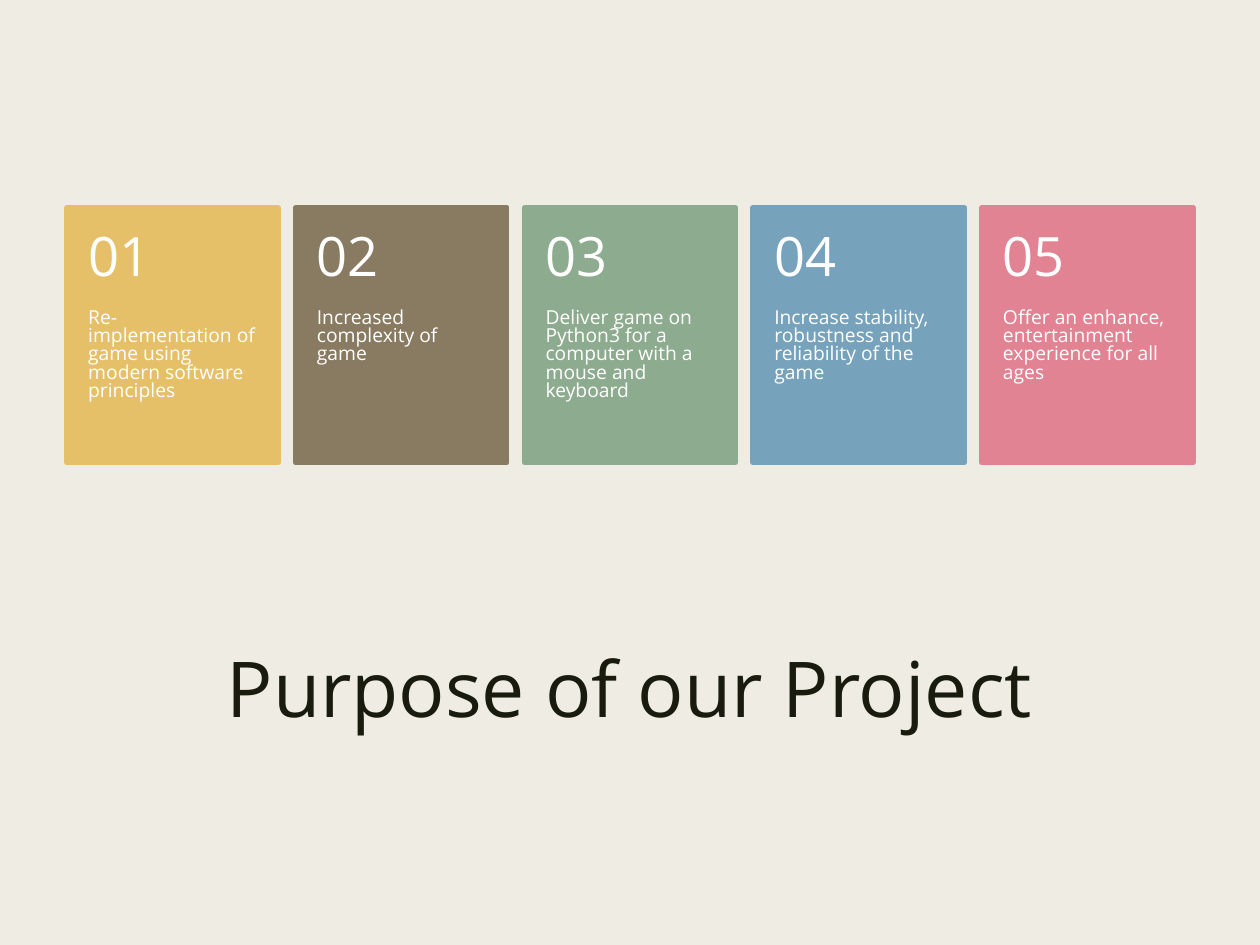
from pptx import Presentation
from pptx.dml.color import RGBColor
from pptx.enum.shapes import MSO_SHAPE as Shape
from pptx.enum.text import MSO_ANCHOR as Anchor, PP_ALIGN as Align
from pptx.util import Inches, Pt

TITLE = "Purpose of our Project"
GOALS = [
    ("E6C069", "Re-implementation of game using modern software principles"),
    ("897B61", "Increased complexity of game"),
    ("8DAB8E", "Deliver game on Python3 for a computer with a mouse and keyboard"),
    ("77A2BB", "Increase stability, robustness and reliability of the game"),
    ("E28394", "Offer an enhance, entertainment experience for all ages"),
]
PAPER, INK, WHITE = "EFEDE3", "191B0E", "FFFFFF"
FONT = "Open Sans"

WIDTH, HEIGHT = 10, 7.5
MARGIN = 0.53
CONTENT = WIDTH - 2 * MARGIN
CARD_TOP, CARD_WIDTH, CARD_HEIGHT = 1.65, 1.68, 2.02
PITCH = (CONTENT - CARD_WIDTH) / (len(GOALS) - 1)
NUMBER_HEIGHT = CARD_HEIGHT * 0.4

TITLE_STYLE = dict(size=44, color=INK, spacing=0.89, align=Align.CENTER)
NUMBER_STYLE = dict(size=31, color=WHITE, spacing=0.9, side=0.17, anchor=Anchor.MIDDLE)
GOAL_STYLE = dict(size=11, color=WHITE, spacing=0.79, side=0.17)


def rgb(value):
    """Turn a hex string into a colour."""
    return RGBColor.from_string(value)


def add_text(shapes, text, area, size, color, spacing, side=0,
             anchor=Anchor.TOP, align=Align.LEFT):
    """Add a wrapped text box with one styled paragraph."""
    frame = shapes.add_textbox(*map(Inches, area)).text_frame
    layout = dict(word_wrap=True, vertical_anchor=anchor, margin_left=Inches(side),
                  margin_right=Inches(side), margin_top=0, margin_bottom=0)
    for name, value in layout.items():
        setattr(frame, name, value)
    para = frame.paragraphs[0]
    para.alignment, para.line_spacing = align, spacing
    span = para.add_run()
    span.text = text
    for name, value in dict(name=FONT, size=Pt(size)).items():
        setattr(span.font, name, value)
    span.font.color.rgb = rgb(color)


def add_card(shapes, index, color, goal):
    """Add one numbered goal card at its grid column."""
    left = MARGIN + index * PITCH
    card = shapes.add_shape(Shape.RECTANGLE, *map(
        Inches, (left, CARD_TOP, CARD_WIDTH, CARD_HEIGHT)))
    card.shadow.inherit = False
    card.fill.solid()
    card.fill.fore_color.rgb = rgb(color)
    card.line.color.rgb = rgb(color)
    card.line.width = Pt(2.75)
    add_text(shapes, goal, (left, CARD_TOP + NUMBER_HEIGHT, CARD_WIDTH,
                            CARD_HEIGHT - NUMBER_HEIGHT), **GOAL_STYLE)
    add_text(shapes, f"{index + 1:02}",
             (left, CARD_TOP, CARD_WIDTH, NUMBER_HEIGHT), **NUMBER_STYLE)


def main():
    """Build and save the slide."""
    deck = Presentation()
    deck.slide_width, deck.slide_height = Inches(WIDTH), Inches(HEIGHT)
    page = deck.slides.add_slide(deck.slide_layouts[6])
    page.background.fill.solid()
    page.background.fill.fore_color.rgb = rgb(PAPER)
    add_text(page.shapes, TITLE, (MARGIN, 5.17, CONTENT, 1.62), **TITLE_STYLE)
    cards = page.shapes.add_group_shape().shapes
    for index, (color, goal) in enumerate(GOALS):
        add_card(cards, index, color, goal)
    deck.save("out.pptx")


if __name__ == "__main__":
    main()
